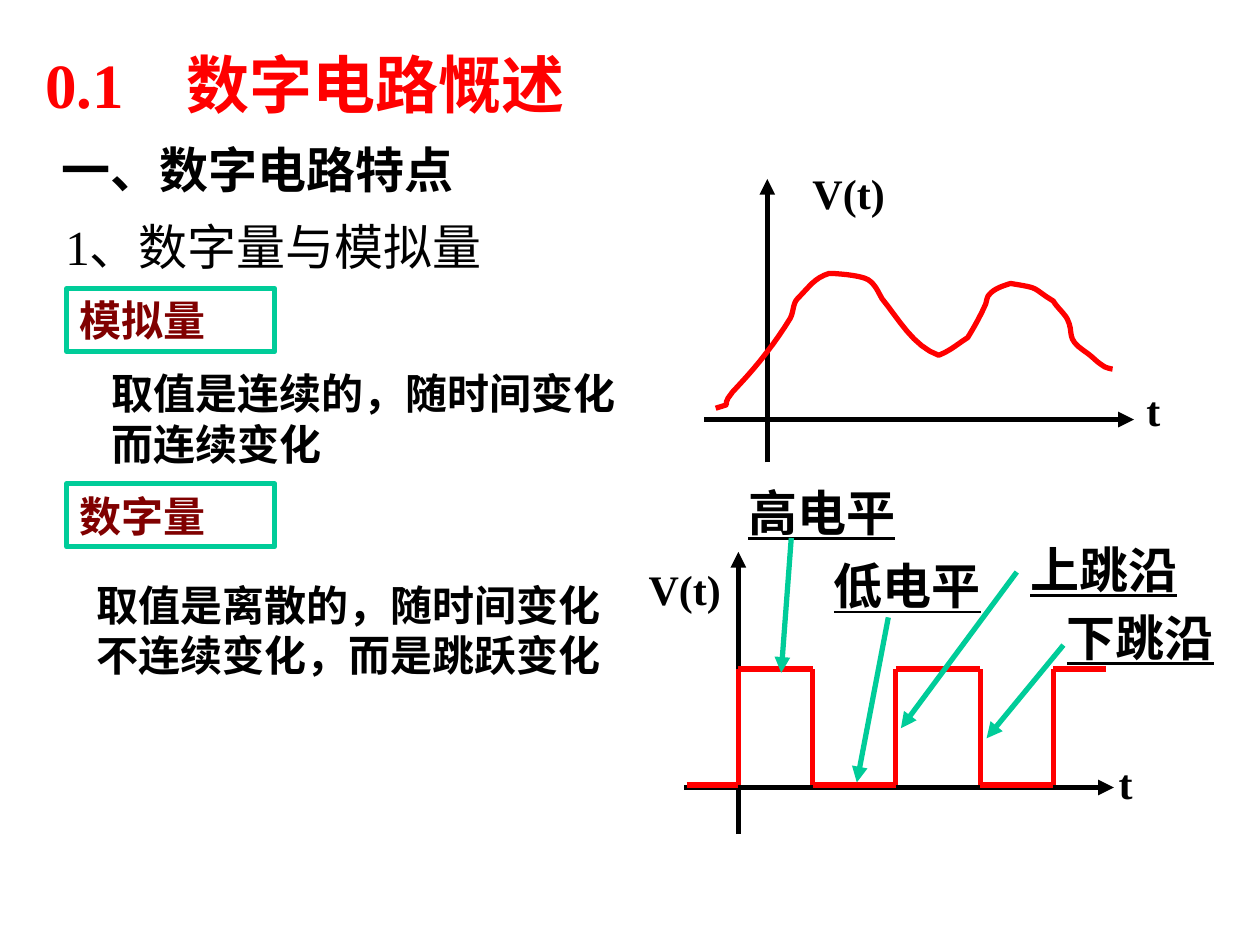
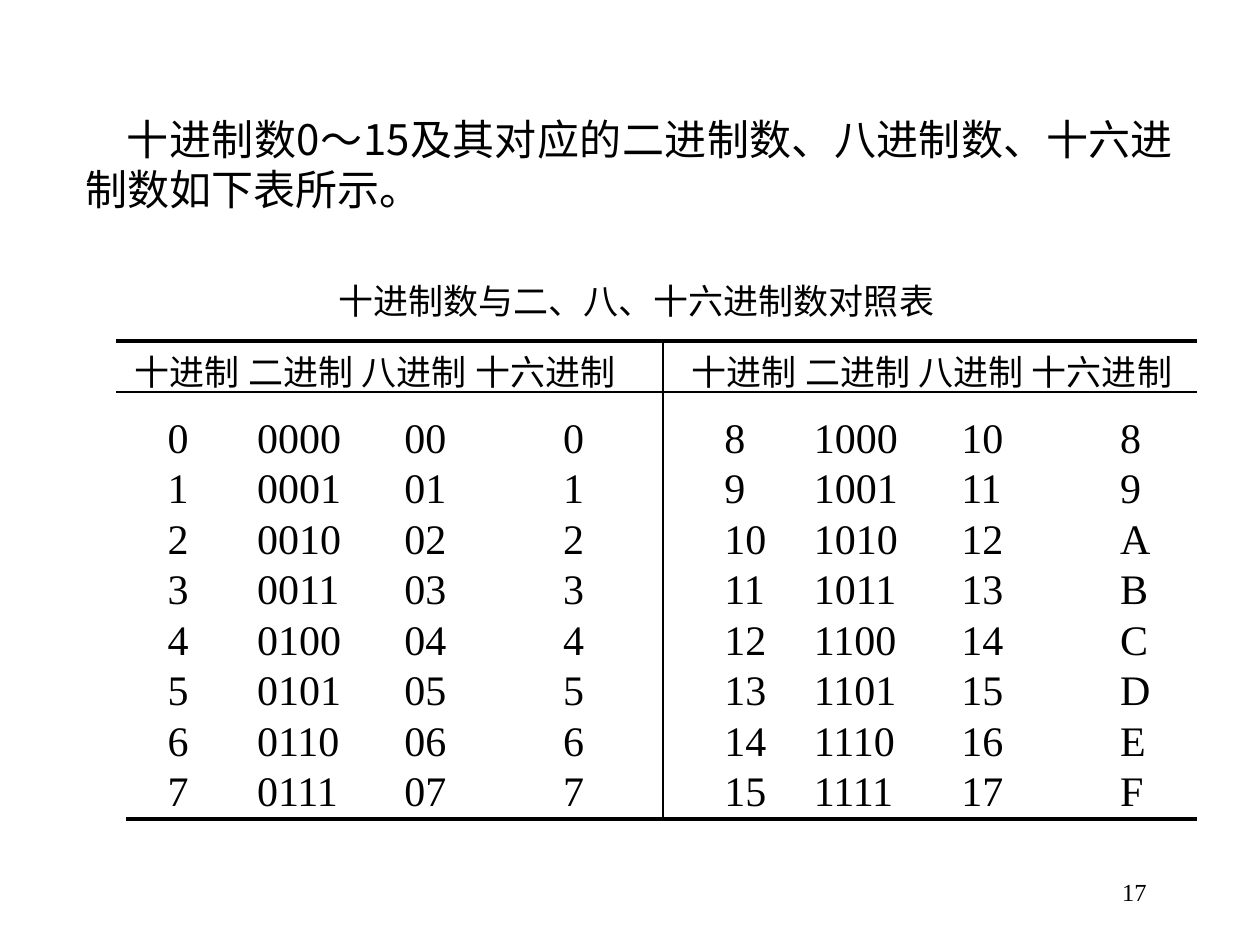
from dataclasses import dataclass
from itertools import pairwise

from lxml import etree
from pptx import Presentation
from pptx.dml.color import RGBColor
from pptx.enum.shapes import MSO_CONNECTOR, MSO_SHAPE
from pptx.enum.text import MSO_ANCHOR as ANCHOR, PP_ALIGN as ALIGN
from pptx.oxml.ns import qn
from pptx.util import Inches, Pt


@dataclass(frozen=True)
class Theme:
    serif: str = "Times New Roman"
    cjk: str = "Noto Sans CJK SC"
    ink: str = "000000"
    red: str = "FF0000"
    maroon: str = "800000"
    green: str = "00CC99"
    title: int = 36
    heading: int = 28
    body: int = 24
    caption: int = 20
    page: int = 14
    thick: float = 3
    rule: float = 2.25
    thin: float = 1


T = Theme()
PLAIN_TABLE = "{2D5ABB26-0587-4C30-8999-92F81FD0307C}"


class Deck:
    def __init__(self):
        self.prs = Presentation()
        self.prs.slide_width, self.prs.slide_height = Inches(10), Inches(7.5)
        self.s = None

    def new_slide(self):
        self.s = self.prs.slides.add_slide(self.prs.slide_layouts[6])

    def styled_run(self, p, text, size=T.body, color=T.ink, font=T.serif,
                   bold=False, underline=False, align=ALIGN.LEFT):
        p.alignment = align
        r = p.add_run()
        r.text = text
        f = r.font
        f.size, f.name, f.bold, f.underline = Pt(size), font, bold, underline
        f.color.rgb = RGBColor.from_string(color)
        etree.SubElement(r._r.get_or_add_rPr(), qn("a:ea"), typeface=T.cjk)

    def text(self, x, y, w, h, text, anchor=ANCHOR.TOP, indent=0, tab=0, **style):
        tf = self.s.shapes.add_textbox(*map(Inches, (x, y, w, h))).text_frame
        tf.word_wrap, tf.vertical_anchor = True, anchor
        p = tf.paragraphs[0]
        pPr = p._p.get_or_add_pPr()
        if indent:
            pPr.set("indent", str(Inches(indent)))
        if tab:
            tabs = etree.SubElement(pPr, qn("a:tabLst"))
            etree.SubElement(tabs, qn("a:tab"), pos=str(Inches(tab)), algn="l")
        self.styled_run(p, text, **style)

    def framed_term(self, x, y, w, h, text):
        sp = self.s.shapes.add_shape(MSO_SHAPE.RECTANGLE, *map(Inches, (x, y, w, h)))
        sp.shadow.inherit = False
        sp.fill.background()
        self.stroke(sp, T.green, T.thick)
        tf = sp.text_frame
        tf.vertical_anchor = ANCHOR.TOP
        self.styled_run(tf.paragraphs[0], text, color=T.maroon, bold=True)

    def stroke(self, sp, color, width):
        sp.line.color.rgb = RGBColor.from_string(color)
        sp.line.width = Pt(width)

    def line(self, start, end, color=T.ink, width=T.thick, arrow=False):
        c = self.s.shapes.add_connector(MSO_CONNECTOR.STRAIGHT,
                                        *map(Inches, (*start, *end)))
        self.stroke(c, color, width)
        spPr = c._element.spPr
        if arrow:
            etree.SubElement(spPr.find(qn("a:ln")), qn("a:tailEnd"), type="triangle")
        etree.SubElement(spPr, qn("a:effectLst"))

    def curve(self, start, segments, color, steps=8):
        """Draw joined cubic Bezier segments, each (x1, y1, x2, y2, x, y)."""
        points, p0 = [], start
        for x1, y1, x2, y2, x3, y3 in segments:
            for t in (i / steps for i in range(1, steps + 1)):
                u = 1 - t
                weights = u**3, 3 * u * u * t, 3 * u * t * t, t**3
                points.append(tuple(
                    Inches(sum(k * v for k, v in zip(weights, axis)))
                    for axis in ((p0[0], x1, x2, x3), (p0[1], y1, y2, y3))))
            p0 = x3, y3
        fb = self.s.shapes.build_freeform(*map(Inches, start))
        fb.add_line_segments(points, close=False)
        sp = fb.convert_to_shape()
        sp.shadow.inherit = False
        sp.fill.background()
        self.stroke(sp, color, T.thick)

    def axes(self, x_axis, y_axis, t_at, v_at):
        """Draw arrowed axes from (left, right, y) and (x, bottom, top)."""
        left, right, y = x_axis
        x, bottom, top = y_axis
        self.line((left, y), (right, y), arrow=True)
        self.line((x, bottom), (x, top), arrow=True)
        self.text(*t_at, 0.67, 0.5, "t", bold=True)
        self.text(*v_at, 1.1, 0.5, "V(t)", bold=True)

    def callout(self, x, y, text, start, tip):
        self.text(x, y, 1.5, 0.57, text, size=T.heading, bold=True, underline=True)
        self.line(start, tip, T.green, arrow=True)

    def table(self, x, y, widths, heights, rows, indents):
        """Place a plain table; the first row is the header, indents apply below it."""
        frame = self.s.shapes.add_table(len(rows), len(widths), Inches(x), Inches(y),
                                        Inches(sum(widths)), Inches(sum(heights)))
        tbl = frame.table
        tbl.first_row = tbl.horz_banding = False
        tbl._tbl.tblPr.find(qn("a:tableStyleId")).text = PLAIN_TABLE
        for col, w in zip(tbl.columns, widths):
            col.width = Inches(w)
        for row, h in zip(tbl.rows, heights):
            row.height = Inches(h)
        for i, values in enumerate(rows):
            for j, value in enumerate(values):
                cell = tbl.cell(i, j)
                cell.fill.background()
                cell.margin_right = cell.margin_top = cell.margin_bottom = 0
                cell.margin_left = Inches(indents[j] if i else 0)
                cell.vertical_anchor = ANCHOR.BOTTOM if i else ANCHOR.MIDDLE
                style = {} if i else {"size": T.caption, "font": T.cjk}
                self.styled_run(cell.text_frame.paragraphs[0], value, **style)


def signals_slide(d):
    d.new_slide()
    d.text(0.26, 0.31, 6.4, 0.7, "0.1\t数字电路慨述", tab=1.12,
           size=T.title, color=T.red, bold=True)
    d.text(0.39, 0.98, 4.75, 0.72, "一、数字电路特点", anchor=ANCHOR.MIDDLE,
           size=T.heading, bold=True)
    d.text(0.42, 1.67, 3.74, 0.57, "1、数字量与模拟量", size=T.heading)
    for y, term in ((2.29, "模拟量"), (3.84, "数字量")):
        d.framed_term(0.53, y, 1.65, 0.5, term)
    d.text(0.79, 2.87, 4.41, 0.91, "取值是连续的，随时间变化而连续变化", bold=True)
    d.text(0.67, 4.55, 4.47, 0.91, "取值是离散的，随时间变化不连续变化，而是跳跃变化", bold=True)

    d.axes((5.59, 9, 3.33), (6.09, 3.67, 1.42), (9, 3), (6.35, 1.28))
    d.curve((5.68, 3.24), [
        (5.87, 3.18, 5.65, 3.27, 5.88, 3.04), (6.02, 2.89, 6.16, 2.71, 6.27, 2.53),
        (6.3, 2.48, 6.29, 2.41, 6.33, 2.37), (6.43, 2.27, 6.46, 2.21, 6.58, 2.17),
        (6.61, 2.17, 6.82, 2.18, 6.89, 2.22), (6.95, 2.26, 6.97, 2.32, 7, 2.37),
        (7.13, 2.53, 7.25, 2.75, 7.45, 2.82), (7.55, 2.78, 7.6, 2.73, 7.68, 2.68),
        (7.73, 2.6, 7.78, 2.51, 7.82, 2.42), (7.83, 2.4, 7.83, 2.36, 7.85, 2.34),
        (7.89, 2.29, 7.96, 2.27, 8.02, 2.25), (8.27, 2.29, 8.18, 2.28, 8.36, 2.39),
        (8.39, 2.44, 8.44, 2.48, 8.47, 2.53), (8.53, 2.65, 8.45, 2.68, 8.61, 2.79),
        (8.66, 2.82, 8.7, 2.87, 8.75, 2.9), (8.77, 2.92, 8.83, 2.93, 8.83, 2.93),
    ], T.red)

    d.axes((5.43, 8.84, 6.25), (5.86, 6.62, 4.38), (8.78, 5.96), (5.05, 4.42))
    high, low = 5.31, 6.23
    wave, level = [(5.45, low)], low
    for edge in (5.86, 6.45, 7.11, 7.78, 8.36):
        wave.append((edge, level))
        level = high if level == low else low
        wave.append((edge, level))
    wave.append((8.78, level))
    for start, end in pairwise(wave):
        d.line(start, end, T.red)

    d.callout(5.84, 3.78, "高电平", (6.28, 4.27), (6.2, 5.34))
    d.callout(6.52, 4.36, "低电平", (7.05, 4.9), (6.8, 6.21))
    d.callout(8.08, 4.23, "上跳沿", (8.07, 4.54), (7.15, 5.78))
    d.callout(8.37, 4.77, "下跳沿", (8.44, 5.12), (7.83, 5.86))


def number_bases_slide(d):
    d.new_slide()
    d.text(0.58, 0.85, 8.83, 0.9,
           "十进制数0～15及其对应的二进制数、八进制数、十六进制数如下表所示。",
           indent=0.33, font=T.cjk, align=ALIGN.JUSTIFY)
    d.text(1.4, 2.17, 7.3, 0.43, "十进制数与二、八、十六进制数对照表",
           size=T.caption, font=T.cjk, align=ALIGN.CENTER)

    def bases(n):
        return [f"{n}", f"{n:04b}", f"{n:02o}", f"{n:X}"]

    header = ["十进制", "二进制", "八进制", "十六进制"] * 2
    rows = [header] + [bases(n) + bases(n + 8) for n in range(8)]
    d.table(1.07, 2.73, [0.9, 0.9, 0.9, 1.72, 0.9, 0.9, 0.9, 1.32],
            [0.41, 0.53] + [0.4] * 7, rows, [0.26, 0.07, 0.34, 0.7] * 2)

    left, right, middle, top, bottom = 0.92, 9.5, 5.26, 2.71, 6.5
    d.line((left, top), (right, top), width=T.rule)
    d.line((left, 3.11), (right, 3.11), width=T.thin)
    d.line((1, bottom), (right, bottom), width=T.rule)
    d.line((middle, top), (middle, bottom), width=T.thin)
    d.text(7.17, 6.83, 2.03, 0.5, "17", anchor=ANCHOR.MIDDLE,
           size=T.page, align=ALIGN.RIGHT)


def main():
    d = Deck()
    signals_slide(d)
    number_bases_slide(d)
    d.prs.save("out.pptx")


if __name__ == "__main__":
    main()
